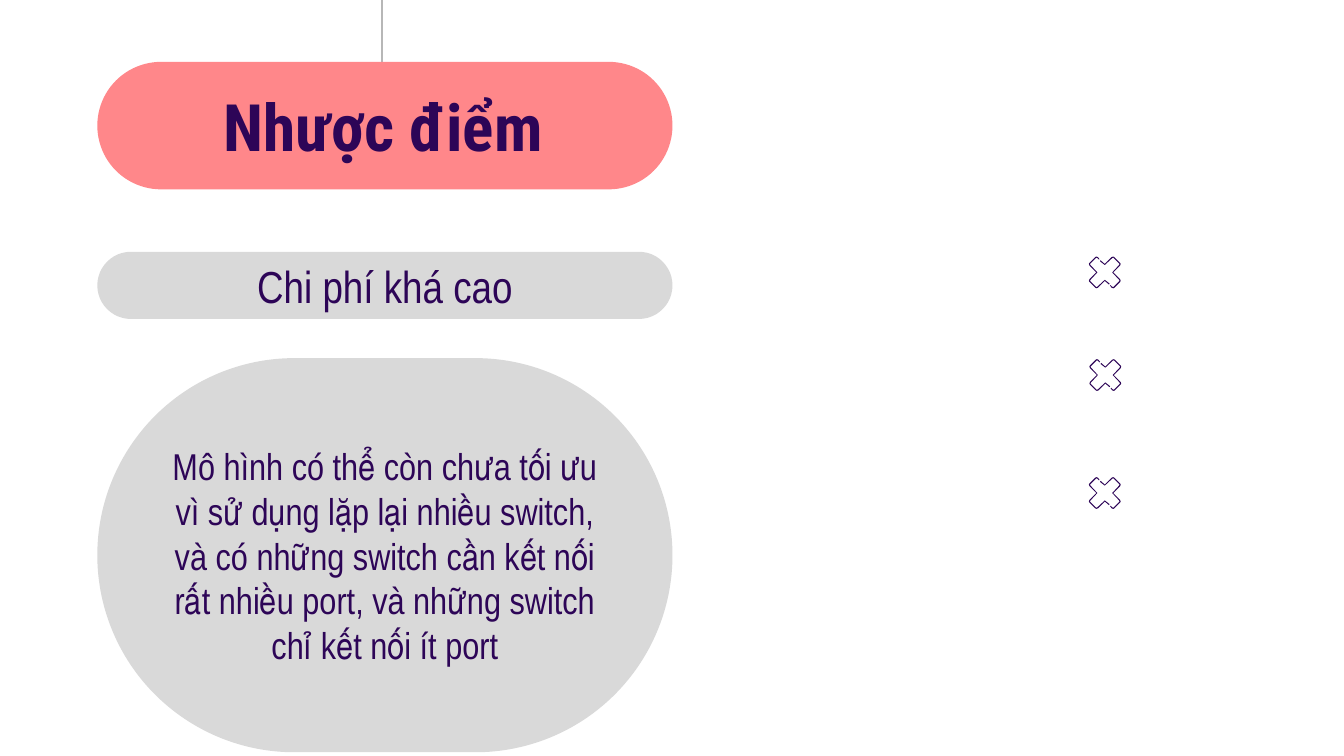
from dataclasses import dataclass

from lxml.etree import SubElement
from pptx import Presentation
from pptx.dml.color import RGBColor
from pptx.enum.shapes import MSO_CONNECTOR as Connector, MSO_SHAPE as Shape
from pptx.enum.text import MSO_ANCHOR as Anchor, MSO_AUTO_SIZE as AutoSize, PP_ALIGN as Align
from pptx.oxml.ns import qn
from pptx.util import Cm, Pt


@dataclass(frozen=True)
class Theme:
    ink: RGBColor = RGBColor.from_string("2D0557")
    accent: RGBColor = RGBColor.from_string("FF878A")
    panel: RGBColor = RGBColor.from_string("D9D9D9")
    rule: RGBColor = RGBColor.from_string("B7B7B7")
    title_font: str = "Roboto Condensed"
    body_font: str = "Arial Narrow"
    title_size: int = 35
    inset: float = 0.25


THEME = Theme()
TITLE = "Nhược điểm"
# text, top, height (cm), type size (pt)
DRAWBACKS = [
    ("Chi phí khá cao", 4.76, 1.27, 24),
    ("Mô hình có thể còn chưa tối ưu vì sử dụng lặp lại nhiều switch, "
     "và có những switch cần kết nối rất nhiều port, "
     "và những switch chỉ kết nối ít port", 6.77, 7.45, 20),
]
PILL_LEFT, PILL_WIDTH = 1.84, 10.87
TITLE_TOP, TITLE_HEIGHT = 1.17, 2.41
RULE_X, RULE_END = 7.22, 3.0
CROSS_CENTRES = [(20.88, 5.15), (20.89, 7.09), (20.88, 9.32)]
# Right half of a cross as a thin band, in 0.01 cm from the centre
CROSS_OUTER = [(-8, -23), (0, -16), (13, -29), (16, -30), (18, -29), (29, -18),
               (30, -16), (29, -13), (16, 0), (29, 13), (30, 16), (29, 18),
               (18, 29), (16, 30), (13, 29), (10, 25)]
CROSS_INNER = [(-9, -21), (0, -14), (14, -27), (16, -28), (17, -27), (27, -17),
               (28, -16), (27, -14), (14, 0), (27, 14), (28, 16), (27, 17),
               (17, 27), (16, 28), (14, 27), (11, 24)]


def write(shape, text, font, size, bold=False):
    tf = shape.text_frame
    tf.word_wrap = True
    tf.auto_size = AutoSize.NONE
    tf.vertical_anchor = Anchor.MIDDLE
    tf.margin_left = tf.margin_right = tf.margin_top = tf.margin_bottom = Cm(THEME.inset)
    p = tf.paragraphs[0]
    p.alignment = Align.CENTER
    r = p.add_run()
    r.text = text
    r.font.name, r.font.size, r.font.bold = font, Pt(size), bold
    r.font.color.rgb = THEME.ink


def paint(shape, color):
    shape.shadow.inherit = False
    shape.fill.solid()
    shape.fill.fore_color.rgb = color
    shape.line.fill.background()


def add_pill(s, top, height, color):
    sp = s.shapes.add_shape(Shape.ROUNDED_RECTANGLE, Cm(PILL_LEFT), Cm(top),
                            Cm(PILL_WIDTH), Cm(height))
    sp.adjustments[0] = 0.5
    paint(sp, color)
    return sp


def add_cross(s, x, y):
    """Draw two half outlines, the second being the first turned by 180 degrees."""
    group = s.shapes.add_group_shape()
    band = CROSS_OUTER + CROSS_INNER[::-1]
    for turn in (1, -1):
        points = [(turn * px, turn * py) for px, py in band]
        outline = group.shapes.build_freeform(*points[0], scale=Cm(0.01))
        outline.add_line_segments(points[1:], close=True)
        paint(outline.convert_to_shape(Cm(x), Cm(y)), THEME.ink)


def add_rule(s):
    rule = s.shapes.add_connector(Connector.STRAIGHT, Cm(RULE_X), 0, Cm(RULE_X), Cm(RULE_END))
    rule.line.color.rgb = THEME.rule
    rule.line.width = Pt(1.5)
    SubElement(rule.element.spPr, qn("a:effectLst"))


def add_title(s):
    pill = add_pill(s, TITLE_TOP, TITLE_HEIGHT, THEME.accent)
    title = s.shapes.title
    title.left, title.top, title.width, title.height = Cm(2.51), Cm(1.25), Cm(9.47), Cm(2.24)
    write(title, TITLE, THEME.title_font, THEME.title_size, bold=True)
    pill.element.addnext(title.element)  # bring the title in front of its pill


def main():
    prs = Presentation()
    prs.slide_width, prs.slide_height = Cm(25.4), Cm(14.29)
    s = prs.slides.add_slide(prs.slide_layouts[5])
    for text, top, height, size in DRAWBACKS:
        write(add_pill(s, top, height, THEME.panel), text, THEME.body_font, size)
    add_rule(s)
    for x, y in CROSS_CENTRES:
        add_cross(s, x, y)
    add_title(s)
    prs.save("out.pptx")


if __name__ == "__main__":
    main()
